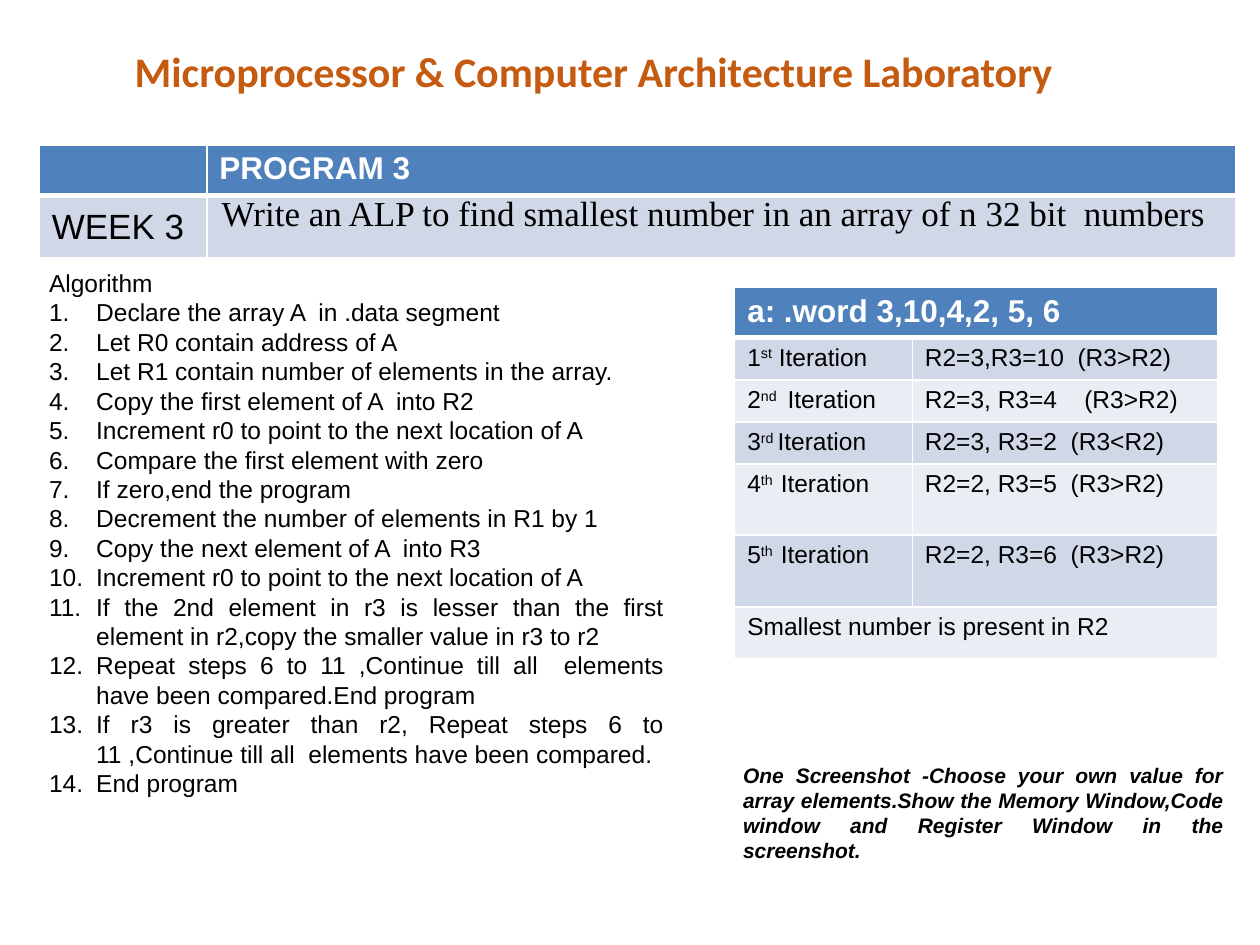
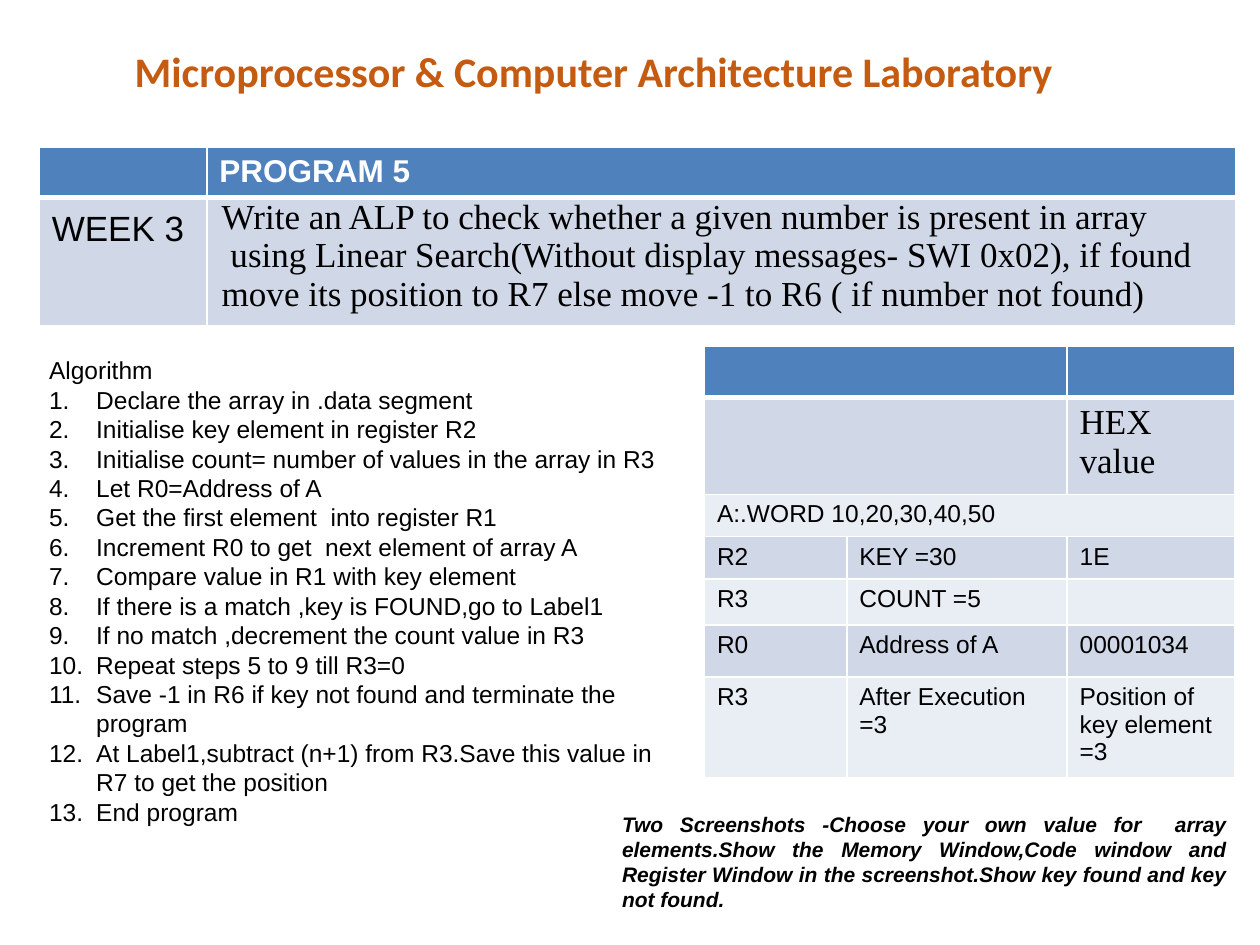
from lxml.etree import SubElement as Sub
from pptx import Presentation
from pptx.dml.color import RGBColor as Rgb
from pptx.enum.text import MSO_ANCHOR as Anchor, MSO_AUTO_SIZE as Auto, PP_ALIGN as Align
from pptx.oxml.ns import qn
from pptx.util import Cm, Pt

HEAD, BANDS, LINE = "4F81BD", ("E9EDF4", "D0D8E8"), "FFFFFF"
TITLE = dict(name="Calibri", size=Pt(24), bold=True, color="C55A11")
TOP = dict(name="Arial", size=Pt(18), bold=True, color="FFFFFF")
BODY = dict(name="Arial", size=Pt(14), bold=False, color="000000")
NOTE = dict(BODY, size=Pt(12), bold=True, italic=True)
WEEK = dict(BODY, size=Pt(20))
SERIF = dict(WEEK, name="Times New Roman")


def tint(text):
    return Rgb.from_string(text)


def style(font, look):
    for key, val in look.items():
        if key == "color":
            font.color.rgb = tint(val)
        else:
            setattr(font, key, val)


def write(frame, text, look):
    for num, line in enumerate(text.split("\n")):
        para = frame.add_paragraph() if num else frame.paragraphs[0]
        if not line:
            Sub(para._p, qn("a:endParaRPr"), sz=str(int(look["size"].pt * 100)))
            continue
        for part, bit in enumerate(line.split("^")):
            run = para.add_run()
            run.text = bit
            style(run.font, look)
            if part % 2:
                run._r.get_or_add_rPr().set("baseline", "30000")


def edge(cell, base):
    props = cell._tc.get_or_add_tcPr()
    for side in "LRTB":
        width = base if side == "B" else 1
        line = Sub(props, qn(f"a:ln{side}"), w=str(Pt(width)))
        fill = Sub(line, qn("a:solidFill"))
        Sub(fill, qn("a:srgbClr"), val=LINE)


def text_box(slide, box, text, look, align=Align.JUSTIFY):
    frame = slide.shapes.add_textbox(*map(Cm, box)).text_frame
    frame.word_wrap = True
    frame.auto_size = Auto.SHAPE_TO_FIT_TEXT
    write(frame, text, look)
    for para in frame.paragraphs:
        para.alignment = align
    return frame


def grid(slide, at, wides, highs, rows, spans=(), looks={}):
    size = (sum(wides), sum(highs))
    shape = slide.shapes.add_table(len(highs), len(wides), *map(Cm, (*at, *size)))
    table = shape.table
    table.horz_banding = False
    for col, wide in zip(table.columns, wides):
        col.width = Cm(wide)
    for row, high in zip(table.rows, highs):
        row.height = Cm(high)
    for r, row in enumerate(rows):
        for c, text in enumerate(row):
            cell = table.cell(r, c)
            edge(cell, 1 if r else 3)
            cell.fill.solid()
            cell.fill.fore_color.rgb = tint(BANDS[r % 2] if r else HEAD)
            write(cell.text_frame, text, looks.get((r, c), BODY if r else TOP))
    for r, last in spans:
        table.cell(r, 0).merge(table.cell(r, last))
    return table


def title(slide):
    text = "Microprocessor & Computer Architecture Laboratory"
    frame = text_box(slide, (0.64, 0.79, 22.66, 1.27), text, TITLE, Align.CENTER)
    frame.vertical_anchor = Anchor.MIDDLE


def task(slide, top, high, name, text):
    rows = [("", name), ("WEEK 3", text)]
    looks = {(1, 0): WEEK, (1, 1): SERIF}
    table = grid(slide, (0.79, top), (3.38, 20.75), (0.98, high), rows, looks=looks)
    week = table.cell(1, 0).text_frame.paragraphs[0]
    week.alignment, week.line_spacing = Align.JUSTIFY, 1.15
    cell = table.cell(1, 1)
    pads = dict(left=0.3, right=0.3, top=0, bottom=0)
    for side, pad in pads.items():
        setattr(cell, f"margin_{side}", Cm(pad))


def steps(slide, top, high, text, just):
    frame = text_box(slide, (0.74, top, 12.9, high), "Algorithm\n" + text, BODY)
    for num, para in enumerate(frame.paragraphs):
        if num > just:
            para.alignment = Align.LEFT
        if num:
            props = para._p.get_or_add_pPr()
            for key, val in dict(marL=Cm(0.95), indent=-Cm(0.95)).items():
                props.set(key, str(int(val)))
            Sub(props, qn("a:buFont"), typeface="+mj-lt")
            Sub(props, qn("a:buAutoNum"), type="arabicPeriod")


def small(slide):
    title(slide)
    task(slide, 2.92, 1.25, "PROGRAM 3",
         "Write an ALP to find smallest number in an array of n 32 bit  numbers")
    rows = [
        ("a: .word 3,10,4,2, 5, 6", ""),
        ("1^st^ Iteration", "R2=3,R3=10  (R3>R2)"),
        ("2^nd ^ Iteration", "R2=3, R3=4    (R3>R2)"),
        ("3^rd ^Iteration", "R2=3, R3=2  (R3<R2)"),
        ("4^th  ^Iteration", "R2=2, R3=5  (R3>R2)"),
        ("5^th  ^Iteration", "R2=2, R3=6  (R3>R2)"),
        ("Smallest number is present in R2", ""),
    ]
    highs = (0.99, 0.85, 0.85, 0.85, 1.43, 1.45, 1.05)
    grid(slide, (14.81, 5.79), (3.58, 6.15), highs, rows, [(0, 1), (6, 1)])
    steps(slide, 5.28, 13.77, """Declare the array A  in .data segment
Let R0 contain address of A
Let R1 contain number of elements in the array.
Copy the first element of A  into R2
Increment r0 to point to the next location of A
Compare the first element with zero
If zero,end the program
Decrement the number of elements in R1 by 1
Copy the next element of A  into R3
Increment r0 to point to the next location of A
If the 2nd element in r3 is lesser than the first element in r2,copy the smaller value in r3 to r2
Repeat steps 6 to 11 ,Continue till all  elements have been compared.End program
If r3 is greater than r2, Repeat steps 6 to 11 ,Continue till all  elements have been compared.
End program""", 14)
    text_box(slide, (14.73, 15.24, 10.19, 2.31),
             "One Screenshot -Choose your own value for array elements."
             "Show the Memory Window,Code window and Register Window in the screenshot.", NOTE)


def search(slide):
    title(slide)
    task(slide, 2.97, 2.57, "PROGRAM 5",
         "Write an ALP to check whether a given number is present in array\n"
         " using Linear Search(Without display messages- SWI 0x02), if found "
         "move its position to R7 else move -1 to R6 ( if number not found)")
    rows = [
        ("", "", ""),
        ("", "", "HEX value"),
        ("A:.WORD 10,20,30,40,50", "", ""),
        ("R2", "KEY =30", "1E"),
        ("R3", "COUNT =5", ""),
        ("R0", "Address of A", "00001034"),
        ("R3", "After Execution\n=3", "Position of key element =3"),
    ]
    highs = (0.99, 1.96, 0.85, 0.85, 0.93, 1.05, 2.03)
    spans = [(0, 1), (1, 1), (2, 2)]
    grid(slide, (14.2, 6.99), (2.87, 4.44, 3.38), highs, rows, spans, {(1, 2): SERIF})
    steps(slide, 7.04, 11.02, """Declare the array in .data segment
Initialise key element in register R2
Initialise count= number of values in the array in R3
Let R0=Address of A
Get the first element  into register R1
Increment R0 to get  next element of array A
Compare value in R1 with key element
If there is a match ,key is FOUND,go to Label1
If no match ,decrement the count value in R3
Repeat steps 5 to 9 till R3=0
Save -1 in R6 if key not found and terminate the program
At Label1,subtract (n+1) from R3.Save this value in R7 to get the position
End program""", 7)
    text_box(slide, (12.29, 16.23, 12.7, 2.82),
             "Two Screenshots -Choose your own value for  array elements."
             "Show the Memory Window,Code window and Register Window in the screenshot."
             "Show key found and key not found.", NOTE)


def main():
    deck = Presentation()
    deck.slide_width, deck.slide_height = Cm(25.4), Cm(19.05)
    for build in (small, search):
        build(deck.slides.add_slide(deck.slide_layouts[6]))
    deck.save("out.pptx")


if __name__ == "__main__":
    main()
